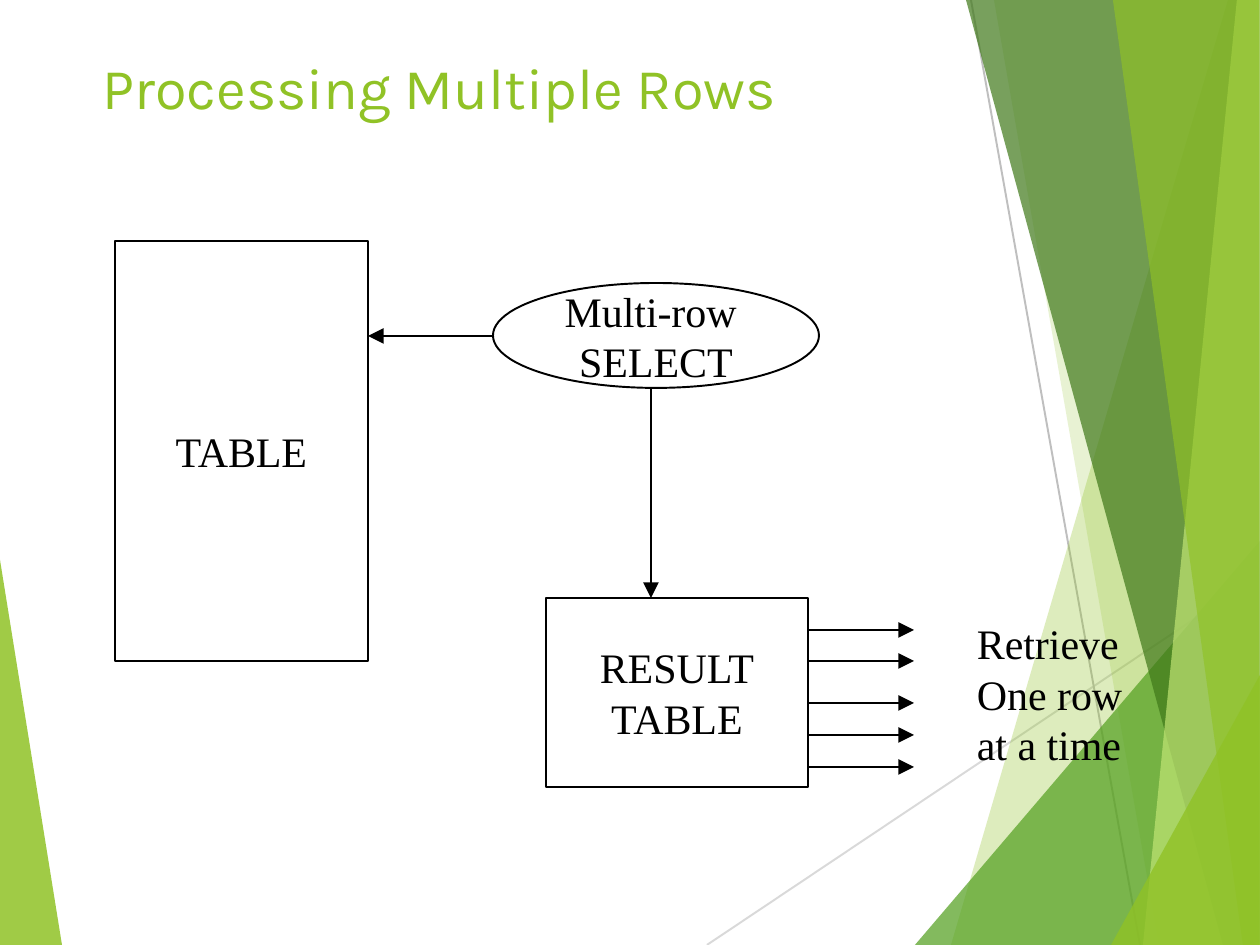
from lxml import etree
from pptx import Presentation
from pptx import util as u
from pptx.dml.color import RGBColor
from pptx.enum import shapes, text
from pptx.oxml.ns import qn

PX = 4838
THEME = {
    "ink": "000000", "paper": "FFFFFF", "accent": "90C226",
    "leaf": "54A021", "forest": "3F7819", "lime": "C0E474",
    "ray_light": "D9D9D9", "ray_dark": "BFBFBF",
    "title_font": "Karla", "body_font": "Times New Roman",
    "title_size": 22, "body_size": 16, "line": 0.75,
}

prs = Presentation()
prs.slide_width, prs.slide_height = 1260 * PX, 945 * PX
s = prs.slides.add_slide(prs.slide_layouts[6])


def put_text(sp, lines, font, size, color, align, frame):
    tf = sp.text_frame
    for name, value in frame.items():
        setattr(tf, name, value)
    for i, line in enumerate(lines):
        p = tf.paragraphs[0] if i == 0 else tf.add_paragraph()
        p.alignment = align
        r = p.add_run()
        r.text = line
        for name, value in {"name": font, "size": u.Pt(size)}.items():
            setattr(r.font, name, value)
        r.font.color.rgb = RGBColor.from_string(color)


def add_line(x1, y1, x2, y2, color, arrow=False):
    c = s.shapes.add_connector(shapes.MSO_CONNECTOR.STRAIGHT,
                               x1 * PX, y1 * PX, x2 * PX, y2 * PX)
    c.line.color.rgb = RGBColor.from_string(color)
    c.line.width = u.Pt(THEME["line"])
    if arrow:
        ln = c._element.spPr.find(qn("a:ln"))
        etree.SubElement(ln, qn("a:tailEnd"), type="triangle")
    etree.SubElement(c._element.spPr, qn("a:effectLst"))


add_line(707, 945, 1260, 575, THEME["ray_light"])
add_line(971, 0, 1140, 945, THEME["ray_dark"])

facets = [
    ("accent", 85, [(0, 560), (62, 945), (0, 945)]),
    ("accent", 30, [(1228, 0), (951, 945), (1260, 945), (1260, 0)]),
    ("accent", 20, [(994, 0), (1159, 945), (1260, 945), (1260, 0)]),
    ("leaf", 72, [(915, 945), (1260, 541), (1260, 945)]),
    ("forest", 70, [(966, 0), (1223, 945), (1260, 945), (1260, 0)]),
    ("lime", 70, [(1237, 0), (1143, 945), (1260, 945), (1260, 0)]),
    ("accent", 65, [(1113, 0), (1243, 945), (1259, 945), (1259, 0)]),
    ("accent", 80, [(1111, 945), (1260, 675), (1260, 945)]),
]
for color, opacity, points in facets:
    fb = s.shapes.build_freeform(*points[0], scale=PX)
    fb.add_line_segments(points[1:], close=True)
    sp = fb.convert_to_shape()
    sp.shadow.inherit = False
    sp.fill.solid()
    sp.fill.fore_color.rgb = RGBColor.from_string(THEME[color])
    clr = sp._element.spPr.find(qn("a:solidFill"))[0]
    etree.SubElement(clr, qn("a:alpha"), val=str(opacity * 1000))
    sp.line.fill.background()

title = s.shapes.add_textbox(84 * PX, 43 * PX, 1071 * PX, 74 * PX)
put_text(title, ["Processing Multiple Rows"], THEME["title_font"], THEME["title_size"],
         THEME["accent"], text.PP_ALIGN.LEFT, {"word_wrap": True})

body = {"margin_left": 13 * PX, "margin_right": 13 * PX,
        "margin_top": 6 * PX, "margin_bottom": 6 * PX, "word_wrap": False}
centred = {**body, "vertical_anchor": text.MSO_ANCHOR.MIDDLE}

nodes = [
    ("RECTANGLE", (115, 241, 253, 420), ["TABLE"]),
    ("OVAL", (493, 283, 326, 105), ["Multi-row ", "SELECT"]),
    ("RECTANGLE", (546, 598, 262, 189), ["RESULT", "TABLE"]),
]
for kind, box, lines in nodes:
    sp = s.shapes.add_shape(shapes.MSO_SHAPE[kind], *(v * PX for v in box))
    sp.shadow.inherit = False
    sp.fill.solid()
    sp.fill.fore_color.rgb = RGBColor.from_string(THEME["paper"])
    sp.line.color.rgb = RGBColor.from_string(THEME["ink"])
    sp.line.width = u.Pt(THEME["line"])
    put_text(sp, lines, THEME["body_font"], THEME["body_size"],
             THEME["ink"], text.PP_ALIGN.CENTER, centred)

add_line(493, 336, 368, 336, THEME["ink"], arrow=True)
add_line(651, 388, 651, 598, THEME["ink"], arrow=True)
for y in (630, 661, 703, 735, 767):
    add_line(808, y, 914, y, THEME["ink"], arrow=True)

note = s.shapes.add_textbox(964 * PX, 612 * PX, 181 * PX, 164 * PX)
put_text(note, ["Retrieve", "One row", "at a time"], THEME["body_font"],
         THEME["body_size"], THEME["ink"], text.PP_ALIGN.LEFT, body)

prs.save("out.pptx")
